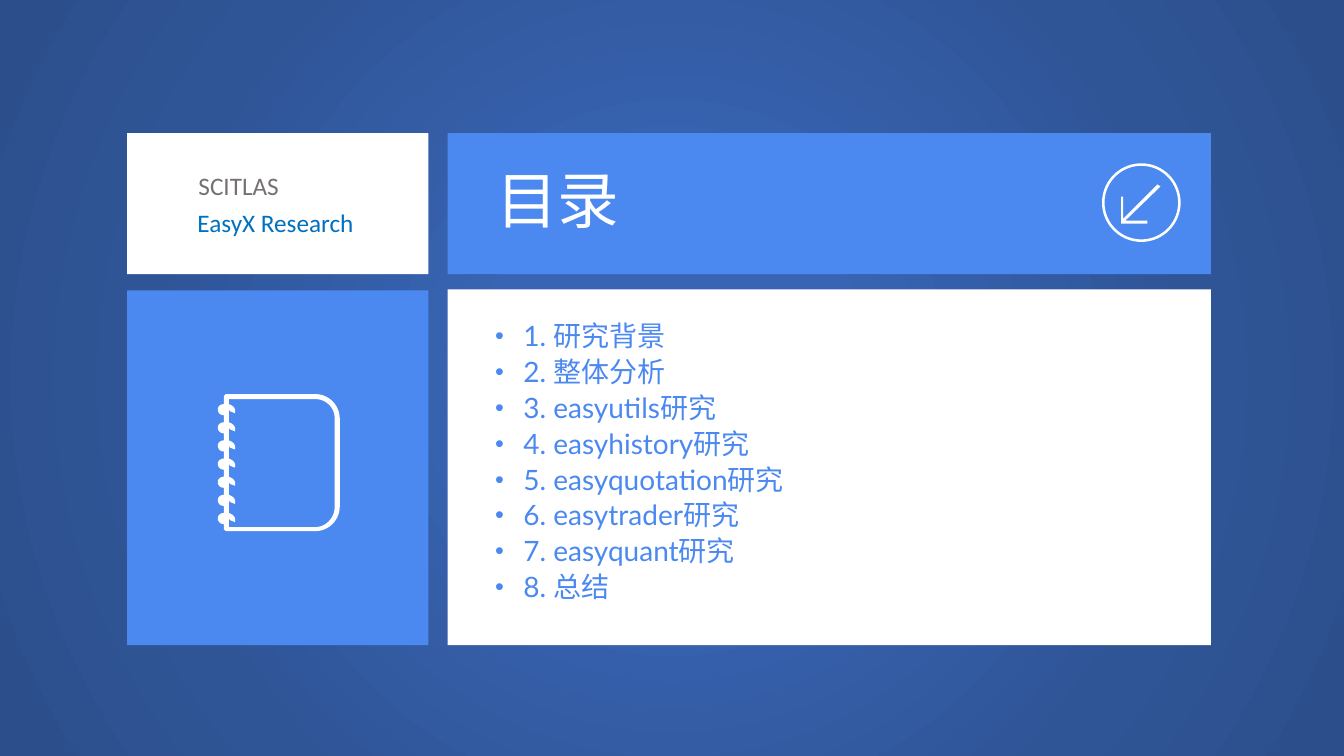
from math import cos, pi, sin

from lxml.etree import SubElement
from pptx import Presentation
from pptx.dml.color import RGBColor
from pptx.enum.shapes import MSO_SHAPE
from pptx.enum.text import MSO_ANCHOR, MSO_AUTO_SIZE, PP_ALIGN
from pptx.oxml import parse_xml
from pptx.oxml.ns import nsdecls, qn
from pptx.util import Inches, Pt

BLUE, WHITE, GREY, LINK = "4B89F0", "FFFFFF", "767171", "0070C0"
GLOW = [(0, "3864B3"), (23, "3864B3"), (69, "2F5597"), (97, "2C4F8C")]
TOPICS = [
    "1. 研究背景",
    "2. 整体分析",
    "3. easyutils研究",
    "4. easyhistory研究",
    "5. easyquotation研究",
    "6. easytrader研究",
    "7. easyquant研究",
    "8. 总结",
]


def color(code):
    return RGBColor.from_string(code)


def bullet(para, indent):
    props = para._p.get_or_add_pPr()
    props.set("marL", str(Inches(indent)))
    props.set("indent", str(-Inches(indent)))
    SubElement(props, qn("a:buSzPct"), val="90000")
    SubElement(props, qn("a:buFont"), typeface="Arial")
    SubElement(props, qn("a:buChar"), char="•")


def write(frame, *lines, size=18, font="Lato", ink=WHITE, inset=None,
          indent=0, spacing=None, before=0):
    """Fill a text frame with one paragraph per line."""
    frame.word_wrap = True
    frame.auto_size = MSO_AUTO_SIZE.NONE
    frame.vertical_anchor = MSO_ANCHOR.TOP
    if inset is not None:
        frame.margin_left = frame.margin_right = Inches(inset)
        frame.margin_top = frame.margin_bottom = Inches(inset)
    for num, line in enumerate(lines):
        para = frame.add_paragraph() if num else frame.paragraphs[0]
        if indent:
            bullet(para, indent)
        para.alignment = PP_ALIGN.LEFT
        para.line_spacing = spacing
        para.space_before = Pt(before if num else 0)
        run = para.add_run()
        run.text = line
        run.font.size = Pt(size)
        run.font.name = font
        run.font.color.rgb = color(ink)


def curve(start, pull, push, end, steps=10):
    """Points of a cubic curve."""
    points = []
    for step in range(steps + 1):
        t = step / steps
        u = 1 - t
        points.append(tuple(
            u**3 * a + 3 * u * u * t * b + 3 * u * t * t * c + t**3 * d
            for a, b, c, d in zip(start, pull, push, end)))
    return points


def circle(x, y, radius, steps=72):
    turns = [2 * pi * step / steps for step in range(steps)]
    return [(x + radius * cos(turn), y + radius * sin(turn)) for turn in turns]


class Board:
    def __init__(self, deck):
        self.slide = deck.slides.add_slide(deck.slide_layouts[5])
        self.shapes = self.slide.shapes

    def paint(self, shape, fill):
        shape.shadow.inherit = False
        shape.fill.solid()
        shape.fill.fore_color.rgb = color(fill)
        shape.line.fill.background()
        return shape

    def panel(self, *place, fill):
        shape = self.shapes.add_shape(MSO_SHAPE.RECTANGLE, *map(Inches, place))
        return self.paint(shape, fill)

    def glow(self, *place, stops):
        shape = self.panel(*place, fill=stops[0][1])
        marks = "".join(
            f'<a:gs pos="{pos * 1000}"><a:srgbClr val="{code}"/></a:gs>'
            for pos, code in stops)
        grad = parse_xml(
            f'<a:gradFill {nsdecls("a")} rotWithShape="1"><a:gsLst>{marks}</a:gsLst>'
            '<a:path path="circle"><a:fillToRect l="50000" t="50000" '
            'r="50000" b="50000"/></a:path></a:gradFill>')
        solid = shape._element.spPr.find(qn("a:solidFill"))
        solid.getparent().replace(solid, grad)

    def icon(self, *loops, fill=WHITE):
        loops = [[(Inches(x), Inches(y)) for x, y in loop] for loop in loops]
        pen = self.shapes.build_freeform(*loops[0][0])
        for num, loop in enumerate(loops):
            if num:
                pen.move_to(*loop[0])
            pen.add_line_segments(loop[1:], close=True)
        return self.paint(pen.convert_to_shape(), fill)

    def text(self, *place, lines, **style):
        box = self.shapes.add_textbox(*map(Inches, place))
        write(box.text_frame, *lines, **style)

    def title(self, *place, text, **style):
        head = self.shapes.title
        head.left, head.top, head.width, head.height = map(Inches, place)
        write(head.text_frame, text, **style)
        head._element.getparent().append(head._element)  # bring to front


def notebook():
    """Outer and inner outline of a ring-bound notebook."""
    rings = [4.01 + 0.18 * num for num in range(7)]
    outer = [(3.13, 3.91), (2.24, 3.91), (2.22, 3.93)]
    for y in rings:
        outer += curve((2.22, y), (2.18, y), (2.16, y + 0.03), (2.16, y + 0.05))
        outer += curve((2.16, y + 0.05), (2.16, y + 0.08),
                       (2.18, y + 0.11), (2.22, y + 0.11))
    outer += [(2.22, 5.25), (2.24, 5.27)]
    outer += curve((3.13, 5.27), (3.26, 5.27), (3.37, 5.16), (3.37, 5.03))
    outer += curve((3.37, 4.15), (3.37, 4.02), (3.26, 3.91), (3.13, 3.91))
    inner = curve((3.32, 5.03), (3.32, 5.14), (3.23, 5.23), (3.13, 5.23))
    inner.append((2.27, 5.23))
    for y in reversed(rings):
        inner += [(2.27, y + 0.05), (2.28, y + 0.07)]
        inner += curve((2.33, y + 0.09), (2.34, y + 0.06),
                       (2.33, y + 0.02), (2.27, y))
    inner.append((2.27, 3.96))
    inner += curve((3.13, 3.96), (3.23, 3.96), (3.32, 4.04), (3.32, 4.15))
    return outer, inner


def main():
    deck = Presentation()
    deck.slide_width, deck.slide_height = Inches(13.33), Inches(7.5)
    board = Board(deck)

    # Backdrop
    board.glow(0, 0, 13.33, 7.5, stops=GLOW)

    # Header with arrow badge
    board.panel(4.44, 1.32, 7.57, 1.4, fill=BLUE)
    arrow = [(11.38, 2.19), (11.38, 2.22), (11.12, 2.22), (11.12, 1.95),
             (11.14, 1.95), (11.14, 2.17), (11.48, 1.83), (11.51, 1.85),
             (11.16, 2.19)]
    board.icon(circle(11.32, 2.01, 0.39), circle(11.32, 2.01, 0.365), arrow)
    board.title(4.82, 1.56, 3.78, 0.84, text="目录", size=44)

    # Project name
    board.panel(1.26, 1.32, 2.99, 1.4, fill=WHITE)
    board.text(1.86, 2.01, 2.18, 0.4, lines=["EasyX Research"],
               font="Calibri", ink=LINK)
    board.text(1.87, 1.64, 1.72, 0.4, lines=["SCITLAS"],
               font="Calibri", ink=GREY)

    # Notebook tile
    board.panel(1.26, 2.88, 2.99, 3.52, fill=BLUE)
    board.icon(*notebook())

    # Topic list
    board.panel(4.44, 2.87, 7.57, 3.53, fill=WHITE)
    board.text(4.84, 3.13, 6.8, 3.05, lines=TOPICS, size=20, ink=BLUE,
               inset=0.07, indent=0.28, spacing=0.9, before=4)

    deck.save("out.pptx")


if __name__ == "__main__":
    main()
